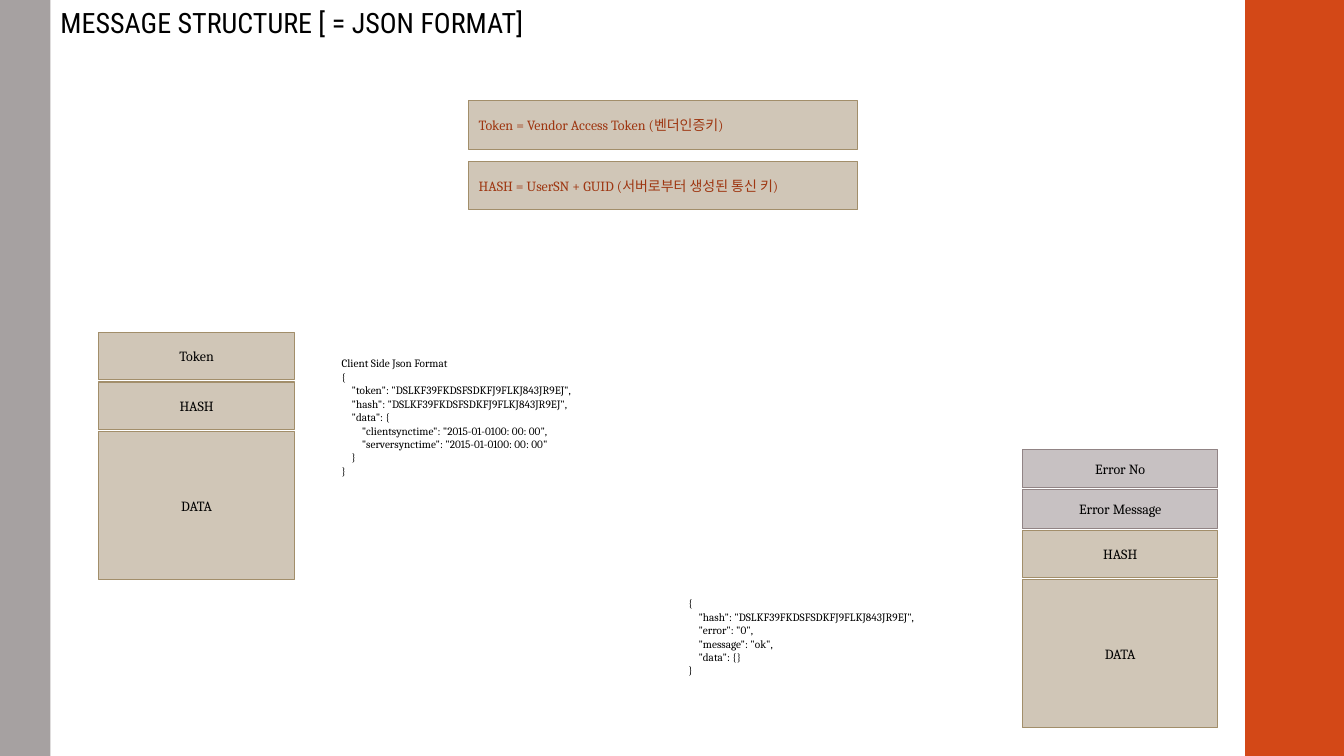
"""Build the message structure slide: key definitions, message layouts and JSON samples."""
from pptx import Presentation
from pptx.dml.color import RGBColor
from pptx.enum import shapes, text
from pptx.util import Inches, Pt

COLORS = {"orange": "D34817", "gray": "A6A1A1", "black": "000000", "rust": "9E3611",
          "sand": "D0C6B7", "sand_line": "A28E6A", "mauve": "C7C1C2", "mauve_line": "918485"}
BODY_FONT = "Cambria"
TITLE = "MESSAGE STRUCTURE [ = JSON FORMAT]"
SIDEBARS = [(12.35, 1, "orange"), (0, 0.5, "gray")]
DEFINITIONS = ["Token = Vendor Access Token (벤더인증키)",
               "HASH = UserSN + GUID (서버로부터 생성된 통신 키)"]
MESSAGES = [
    (0.98, 3.3, [("Token", 0.47, "sand"), ("HASH", 0.47, "sand"), ("DATA", 1.47, "sand")]),
    (10.14, 4.46, [("Error No", 0.38, "mauve"), ("Error Message", 0.38, "mauve"),
                   ("HASH", 0.47, "sand"), ("DATA", 1.47, "sand")]),
]
MESSAGE_WIDTH, FIELD_GAP = 1.94, 0.02
JSON_SAMPLES = [
    (3.29, 3.49, 3.1, 1.31, [
        (0, "Client Side Json Format"),
        (0, "{"),
        (1, '"token": "DSLKF39FKDSFSDKFJ9FLKJ843JR9EJ",'),
        (1, '"hash": "DSLKF39FKDSFSDKFJ9FLKJ843JR9EJ",'),
        (1, '"data": {'),
        (2, '"clientsynctime": "2015-01-0100: 00: 00",'),
        (2, '"serversynctime": "2015-01-0100: 00: 00"'),
        (1, "}"),
        (0, "}")]),
    (6.73, 5.87, 3.06, 0.91, [
        (0, "{"),
        (1, '"hash": "DSLKF39FKDSFSDKFJ9FLKJ843JR9EJ",'),
        (1, '"error": "0",'),
        (1, '"message": "ok",'),
        (1, '"data": {}'),
        (0, "}")]),
]
INDENT = 0.1


def rgb(name):
    return RGBColor.from_string(COLORS[name])


def style(paragraph, size, color="black", font=BODY_FONT, align=text.PP_ALIGN.LEFT):
    paragraph.alignment = align
    paragraph.font.name = font
    paragraph.font.size = Pt(size)
    paragraph.font.color.rgb = rgb(color)


def add_block(left, top, width, height, fill, line=None):
    block = slide.shapes.add_shape(shapes.MSO_SHAPE.RECTANGLE, Inches(left), Inches(top),
                                   Inches(width), Inches(height))
    block.shadow.inherit = False
    block.fill.solid()
    block.fill.fore_color.rgb = rgb(fill)
    if line:
        block.line.color.rgb = rgb(line)
        block.line.width = Pt(0.75)
    else:
        block.line.fill.background()
    return block


def add_field(label, left, top, width, height, fill, **look):
    field = add_block(left, top, width, height, fill, fill + "_line")
    field.text_frame.vertical_anchor = text.MSO_ANCHOR.MIDDLE
    field.text_frame.text = label
    style(field.text_frame.paragraphs[0], 10, **look)


deck = Presentation()
deck.slide_width, deck.slide_height = Inches(13.33), Inches(7.5)
slide = deck.slides.add_slide(deck.slide_layouts[5])

for left, width, color in SIDEBARS:
    add_block(left, 0, width, 7.5, color)

title = slide.shapes.title
title.left, title.top = Inches(0.5), Inches(0)
title.width, title.height = Inches(11.85), Inches(0.44)
title.text_frame.text = TITLE
title.text_frame.auto_size = text.MSO_AUTO_SIZE.NONE
title.text_frame.vertical_anchor = text.MSO_ANCHOR.TOP
style(title.text_frame.paragraphs[0], 20, font="Roboto Condensed")

for row, definition in enumerate(DEFINITIONS):
    add_field(definition, 4.65, 1 + 0.6 * row, 3.86, 0.48, "sand", color="rust")

for left, top, fields in MESSAGES:
    for label, height, fill in fields:
        add_field(label, left, top, MESSAGE_WIDTH, height, fill, align=text.PP_ALIGN.CENTER)
        top += height + FIELD_GAP

for left, top, width, height, lines in JSON_SAMPLES:
    sample = slide.shapes.add_textbox(Inches(left), Inches(top), Inches(width), Inches(height))
    frame = sample.text_frame
    frame.word_wrap = True
    frame.text = "\n".join(content for _, content in lines)
    for paragraph, (depth, _) in zip(frame.paragraphs, lines):
        style(paragraph, 8)
        paragraph._p.get_or_add_pPr().set("marL", str(Inches(INDENT * depth)))

deck.save("out.pptx")
